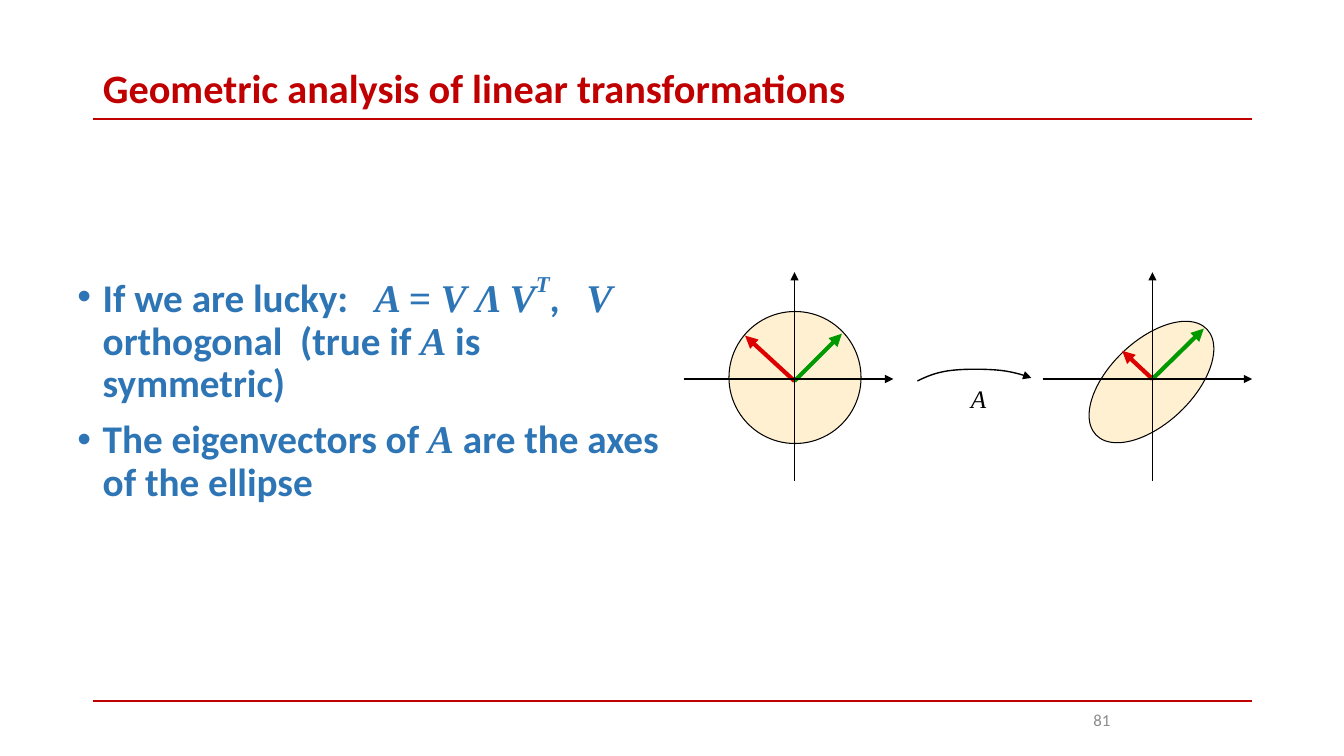
import pptx
import pptx.dml.color
import pptx.enum.shapes
import pptx.enum.text
import pptx.oxml.ns
import pptx.oxml.xmlchemy
import pptx.util

PX = 9144  # EMU per px, 100 px to the inch
COLORS = {"title": "C00000", "body": "2E75B6", "number": "8C8C8C", "ink": "000000",
          "disc": "FFCC66", "red": "DC0000", "green": "009900"}
SANS, SERIF = "Calibri", "Times New Roman"
ANCHOR = pptx.enum.text.MSO_ANCHOR
ALIGN = pptx.enum.text.PP_ALIGN


def px(*lengths):
    return [round(n * PX) for n in lengths]


def rgb(name):
    return pptx.dml.color.RGBColor.from_string(COLORS[name])


def add_xml(parent, tag, **attrs):
    el = pptx.oxml.xmlchemy.OxmlElement(tag)
    for key, value in attrs.items():
        el.set(key, value)
    parent.append(el)
    return el


def style_line(sp, color, width, arrow):
    sp.line.color.rgb = rgb(color)
    sp.line.width = pptx.util.Pt(width)
    if arrow:
        add_xml(sp.line._get_or_add_ln(), "a:tailEnd", type="triangle")


def add_line(slide, start, end, color, width, arrow=True):
    sp = slide.shapes.add_connector(
        pptx.enum.shapes.MSO_CONNECTOR.STRAIGHT, *px(*start, *end))
    style_line(sp, color, width, arrow)
    add_xml(sp._element.spPr, "a:effectLst")


def add_run(p, text, font, size, color, bold=False, italic=False):
    r = p.add_run()
    r.text = text
    r.font.name, r.font.size = font, pptx.util.Pt(size)
    r.font.bold, r.font.italic = bold, italic
    r.font.color.rgb = rgb(color)
    return r


def add_text_box(slide, box, wrap=True, anchor=ANCHOR.TOP):
    tf = slide.shapes.add_textbox(*px(*box)).text_frame
    tf.word_wrap = wrap
    tf.vertical_anchor = anchor
    return tf


def add_title(slide, box, text):
    title = slide.shapes.title
    title.left, title.top, title.width, title.height = px(*box)
    tf = title.text_frame
    tf.auto_size = pptx.enum.text.MSO_AUTO_SIZE.NONE
    tf.vertical_anchor = ANCHOR.MIDDLE
    p = tf.paragraphs[0]
    p.alignment, p.line_spacing = ALIGN.LEFT, 0.9
    add_run(p, text, SANS, 28.8, "title", bold=True)


def add_rules(slide, left, right, heights):
    for y in heights:
        add_line(slide, (left, y), (right, y), "title", 1.5, arrow=False)


def add_page_number(slide, box, text):
    p = add_text_box(slide, box, anchor=ANCHOR.MIDDLE).paragraphs[0]
    p.alignment = ALIGN.CENTER
    add_run(p, text, SANS, 12, "number")


def add_bullets(slide, box, bullets):
    """Each bullet is a list of (text, style); style is "", "math" or "sup"."""
    tf = add_text_box(slide, box)
    for i, parts in enumerate(bullets):
        p = tf.paragraphs[0] if i == 0 else tf.add_paragraph()
        p.line_spacing, p.space_before = 0.9, pptx.util.Pt(10)
        pPr = p._p.get_or_add_pPr()
        pPr.set("marL", str(25 * PX))
        pPr.set("indent", str(-25 * PX))
        add_xml(pPr, "a:buFont", typeface="Arial")
        add_xml(pPr, "a:buChar", char="•")
        for text, style in parts:
            r = add_run(p, text, SERIF if style else SANS, 28, "body",
                        bold=True, italic=bool(style))
            if style == "sup":
                r.font._element.set("baseline", "50000")


def add_map_arrow(slide, box, label):
    """Curved arrow across the top of the box, with its label below."""
    x, y, _, _ = box
    nodes = [(0, 12), (8, 8), (17, 4), (30, 2), (43, 0), (63, 0), (77, 1),
             (91, 2), (102, 5), (113, 9)]
    points = []
    for i in range(0, len(nodes) - 1, 3):
        for step in range(1, 9):
            t = step / 8
            weights = ((1 - t) ** 3, 3 * t * (1 - t) ** 2, 3 * t * t * (1 - t), t ** 3)
            points.append(tuple(
                origin + sum(w * n[axis] for w, n in zip(weights, nodes[i:i + 4]))
                for axis, origin in enumerate((x, y))))
    # Points go in as EMU, so that the sampled curve stays smooth
    fb = slide.shapes.build_freeform(*px(x + nodes[0][0], y + nodes[0][1]))
    fb.add_line_segments([px(*point) for point in points], close=False)
    sp = fb.convert_to_shape()
    sp.shadow.inherit = False
    sp.fill.background()
    style_line(sp, "ink", 1, True)
    tf = add_text_box(slide, (x + 43, y + 9, 35, 40), wrap=False)
    add_run(tf.paragraphs[0], label, SERIF, 18, "ink", italic=True)


def add_plot(slide, box, ellipse, rotation, origin, vectors):
    """Axes over an ellipse with vectors; inner places are relative to the box."""
    x, y, w, h = box
    ex, ey, ew, eh = ellipse
    sp = slide.shapes.add_shape(pptx.enum.shapes.MSO_SHAPE.OVAL,
                                *px(x + ex, y + ey, ew, eh))
    sp.rotation = rotation
    sp.shadow.inherit = False
    sp.fill.solid()
    sp.fill.fore_color.rgb = rgb("disc")
    fill = sp._element.spPr.find(pptx.oxml.ns.qn("a:solidFill"))
    add_xml(fill[0], "a:alpha", val="29000")
    style_line(sp, "ink", 0.75, False)
    # Vectors
    ox, oy = x + origin[0], y + origin[1]
    for color, (dx, dy) in vectors.items():
        add_line(slide, (ox, oy), (ox + dx, oy + dy), color, 3)
    # Axes
    add_line(slide, (x, y + 106), (x + w, y + 106), "ink", 0.75)
    add_line(slide, (ox, y + h), (ox, y), "ink", 0.75)


def main():
    prs = pptx.Presentation()
    prs.slide_width, prs.slide_height = px(1333, 750)
    slide = prs.slides.add_slide(prs.slide_layouts[5])

    # Frame
    add_rules(slide, 92, 1242, (118, 695))
    add_page_number(slide, (868, 694, 450, 40), "81")
    add_title(slide, (92, 61, 1150, 58), "Geometric analysis of linear transformations")

    # Statement
    add_bullets(slide, (67, 269, 601, 305), [
        [("If we are lucky:   ", ""), ("A = V Λ V", "math"), ("T", "sup"), (",   ", ""),
         ("V", "math"), (" orthogonal  (true if ", ""), ("A", "math"),
         (" is symmetric)", "")],
        [("The eigenvectors of ", ""), ("A", "math"),
         (" are the axes of the ellipse", "")],
    ])

    # Circle mapped to ellipse
    add_map_arrow(slide, (910, 366, 113, 49), "A")
    add_plot(slide, (678, 270, 208, 207), (45, 39, 131, 131), 0, (110, 108),
             {"red": (-49, -45), "green": (47, -47)})
    add_plot(slide, (1034, 270, 208, 207), (67, 33, 82, 152), 46.4, (109, 106),
             {"red": (-30, -28), "green": (51, -50)})

    prs.save("out.pptx")


if __name__ == "__main__":
    main()
